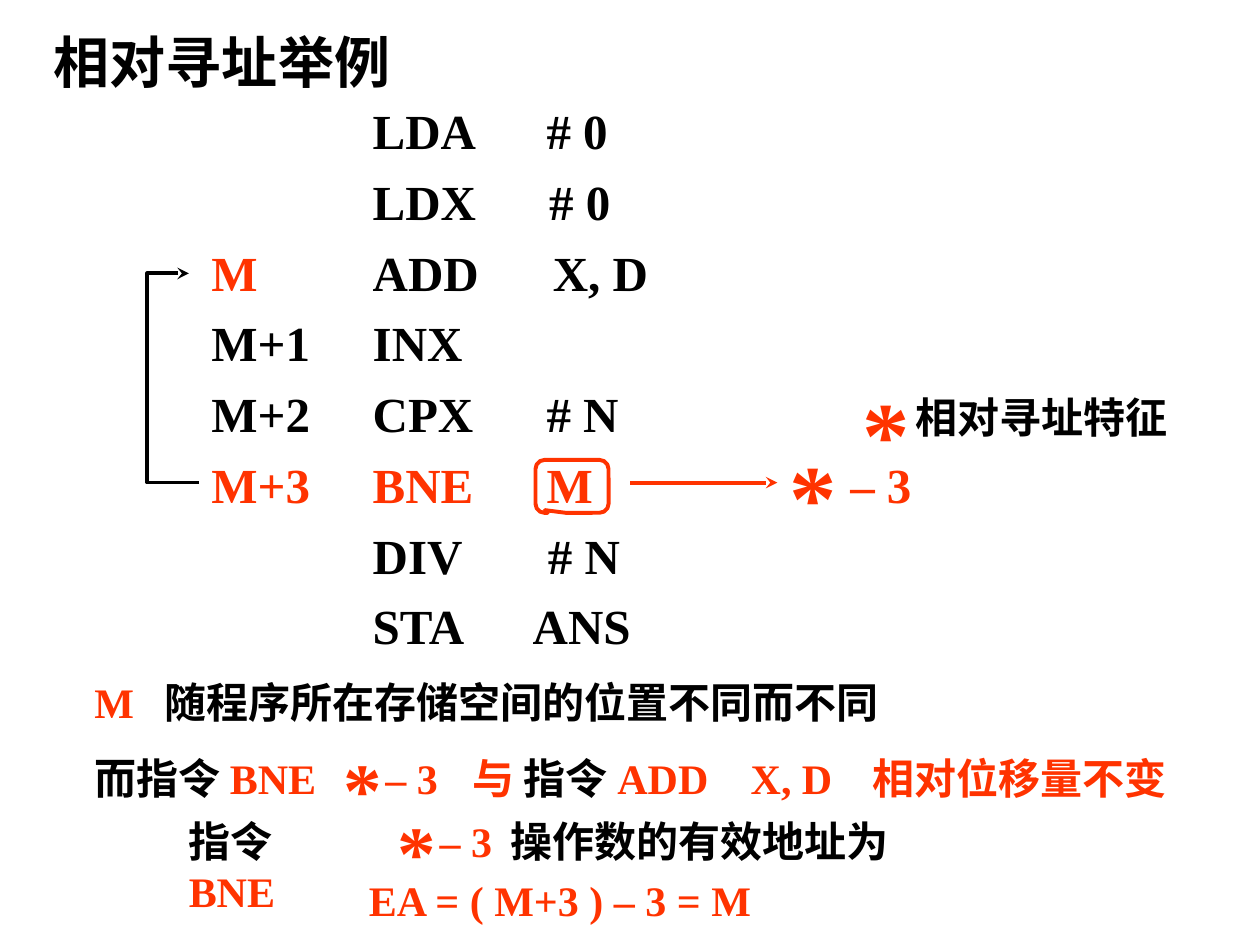
from lxml import etree
from pptx import Presentation
from pptx import util as u
from pptx.dml.color import RGBColor
from pptx.enum import shapes, text
from pptx.oxml import ns

INK = {"black": "000000", "red": "FF3300"}
FONT = {"name": "Times New Roman", "bold": True}


class Board:
    """Holds the slide and its shared text and line style."""

    def __init__(self, slide):
        self.slide = slide
        self.shapes = slide.shapes

    def label(self, x, y, w, h, runs, size=28, wrap=False, top=0.05, tabs=()):
        """Add a text box; runs are (words, colour) pairs, tabs are in inches."""
        box = self.shapes.add_textbox(*map(u.Inches, (x, y, w, h)))
        frame = box.text_frame
        form = {"word_wrap": wrap, "margin_top": u.Inches(top),
                "auto_size": text.MSO_AUTO_SIZE.SHAPE_TO_FIT_TEXT}
        for key, value in form.items():
            setattr(frame, key, value)
        para = frame.paragraphs[0]
        if tabs:
            stops = etree.SubElement(para._p.get_or_add_pPr(), ns.qn("a:tabLst"))
            for stop in tabs:
                etree.SubElement(stops, ns.qn("a:tab"),
                                 pos=str(u.Inches(stop)), algn="l")
        for words, ink in runs:
            run = para.add_run()
            run.text = words
            for key, value in {**FONT, "size": u.Pt(size)}.items():
                setattr(run.font, key, value)
            run.font.color.rgb = RGBColor.from_string(INK[ink])

    def star(self, x, y, w, h, size):
        self.label(x, y, w, h, [("*", "red")], size, wrap=True)

    def minus(self, x, y, h, size):
        self.label(x, y, 0.69, h, [("– 3", "red")], size, wrap=True, top=0.09)

    def stroke(self, shape, ink, head=False):
        shape.line.color.rgb = RGBColor.from_string(INK[ink])
        shape.line.width = u.Pt(2.25)
        if head:
            line = shape._element.spPr.find(ns.qn("a:ln"))
            etree.SubElement(line, ns.qn("a:tailEnd"), type="stealth")

    def arrow(self, x1, y1, x2, y2, ink):
        line = self.shapes.add_connector(
            shapes.MSO_CONNECTOR.STRAIGHT, *map(u.Inches, (x1, y1, x2, y2)))
        self.stroke(line, ink, head=True)
        etree.SubElement(line._element.spPr, ns.qn("a:effectLst"))

    def loop(self, points, ink):
        """Draw an open bent line that ends in an arrowhead."""
        spots = [(u.Inches(x), u.Inches(y)) for x, y in points]
        build = self.shapes.build_freeform(*spots[0])
        build.add_line_segments(spots[1:], close=False)
        bend = build.convert_to_shape()
        bend.shadow.inherit = False
        bend.fill.background()
        self.stroke(bend, ink, head=True)

    def callout(self, x, y, w, h, ink):
        shape = self.shapes.add_shape(
            shapes.MSO_SHAPE.ROUNDED_RECTANGULAR_CALLOUT,
            *map(u.Inches, (x, y, w, h)))
        for i, value in enumerate((-0.37, 0.45, 0.17)):
            shape.adjustments[i] = value
        shape.shadow.inherit = False
        shape.fill.background()
        self.stroke(shape, ink)


# mark, opcode, operand, operand tab, colour
CODE = [
    ("", "LDA", "# 0", 1.38, "black"),
    ("", "LDX", "# 0", 1.4, "black"),
    ("M", "ADD", "X, D", 1.43, "black"),
    ("M+1", "INX", "", 0, "black"),
    ("M+2", "CPX", "# N", 1.38, "black"),
    ("M+3", "BNE", "M", 1.38, "red"),
    ("", "DIV", "# N", 1.39, "black"),
    ("", "STA", "ANS", 1.27, "black"),
]


def main():
    deck = Presentation()
    deck.slide_width, deck.slide_height = u.Inches(10), u.Inches(7.5)
    board = Board(deck.slides.add_slide(deck.slide_layouts[6]))

    board.label(0.33, 0.17, 2.91, 0.64, [("相对寻址举例", "black")], 32)

    for i, (mark, code, operand, tab, ink) in enumerate(CODE):
        y = 0.75 + i * 3.93 / 7
        if operand:
            board.label(2.86, y, 2.4, 0.57, [(f"{code}\t{operand}", ink)],
                        wrap=True, tabs=[tab])
        else:
            board.label(2.86, y, 0.91, 0.57, [(code, ink)])
        if mark:
            board.label(1.58, y, 0.57 if mark == "M" else 0.98, 0.57,
                        [(mark, "red" if mark == "M" else ink)])

    board.loop([(1.58, 3.83), (1.17, 3.83), (1.17, 2.17), (1.5, 2.17)], "black")
    board.callout(4.25, 3.65, 0.58, 0.42, "red")
    board.arrow(5, 3.83, 6.17, 3.83, "red")
    board.minus(6.65, 3.52, 0.61, 28)
    board.star(6.17, 3.42, 0.75, 1, 54)
    board.label(7.17, 3.06, 2.42, 0.5, [("相对寻址特征", "black")], 24, wrap=True)
    board.star(6.75, 2.92, 1.08, 1, 54)

    board.label(0.65, 5.32, 9.93, 0.5,
                [("M\t", "red"), ("随程序所在存储空间的位置不同而不同", "black")],
                24, wrap=True, tabs=[0.56])
    board.label(0.65, 5.92, 9.93, 0.5,
                [("而指令 ", "black"), ("BNE\t与 ", "red"), ("指令 ", "black"),
                 ("ADD\tX, D\t相对位移量不变", "red")],
                24, wrap=True, tabs=[3, 5.21, 6.18])
    board.label(1.4, 6.42, 1.4, 0.5, [("指令 ", "black"), ("BNE", "red")],
                24, wrap=True)
    board.label(3.95, 6.42, 3.22, 0.5, [("操作数的有效地址为", "black")], 24)
    for x, y in ((2.63, 5.83), (3.06, 6.33)):
        board.minus(x + 0.33, y + 0.05, 0.54, 24)
        board.star(x, y, 0.75, 0.83, 44)
    board.label(2.83, 6.89, 3.25, 0.5, [("EA = ( M+3 ) – 3 = M", "red")], 24)

    deck.save("out.pptx")


if __name__ == "__main__":
    main()
